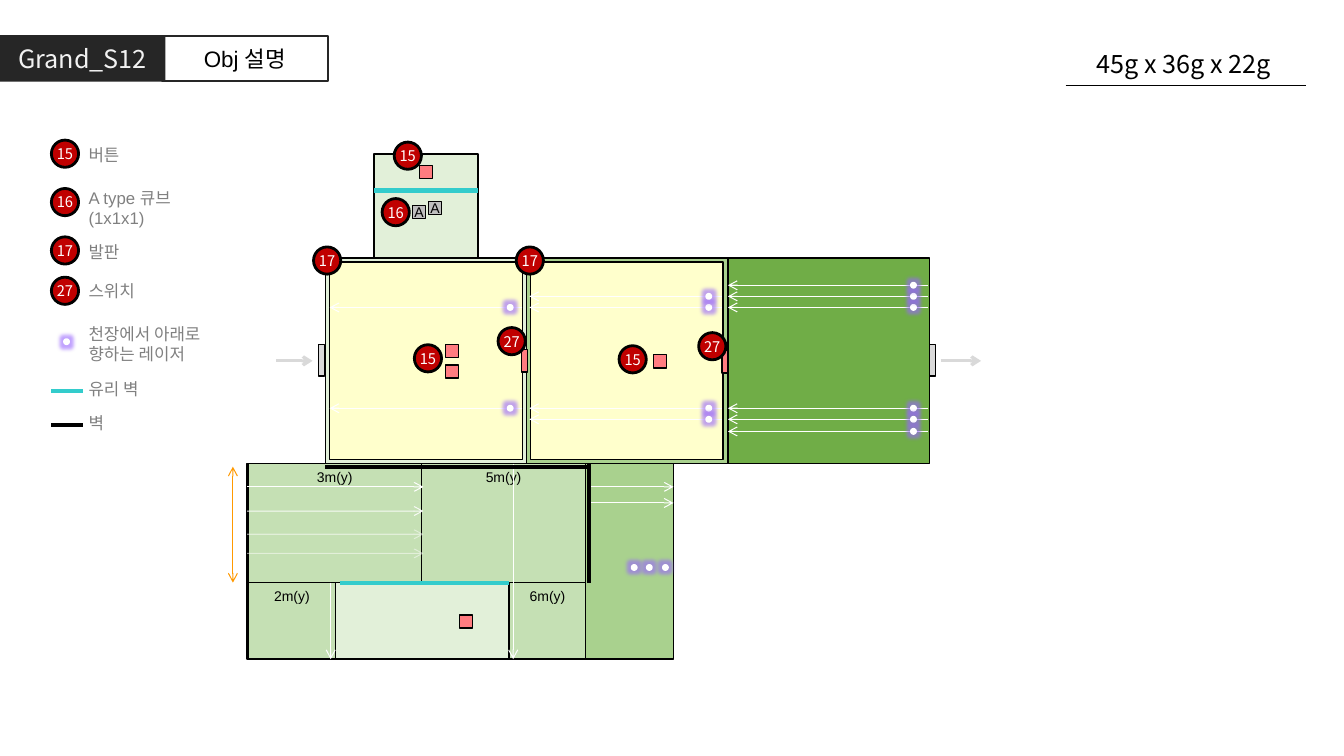
from lxml import etree
from pptx import Presentation
from pptx import util as u
from pptx.dml.color import RGBColor
from pptx.enum import shapes, text
from pptx.oxml.ns import qn

COLORS = {
    "white": "FFFFFF", "black": "000000", "dark": "262626", "title": "F2F2F2",
    "pale": "E2F0D9", "light": "C5E0B4", "mid": "A9D18E", "deep": "70AD47",
    "floor": "FFFFCC", "door": "D9D9D9", "cube": "BFBFBF", "button": "FF7C80",
    "badge": "C00000", "glass": "33CCCC", "label": "808080",
    "height": "FF9900", "glow": "9966FF",
}
LATIN, KOREAN = "Arial", "Noto Sans CJK KR"
COLS, ROWS = 133.3, 75  # grid cells across and down the slide
BUTTON = 1.3
BADGE = 2.7
DOT = 0.4


class Plan:
    """Draws on one slide; lengths are grid columns and rows."""

    def __init__(self, prs):
        self.slide = prs.slides.add_slide(prs.slide_layouts[6])
        self.col = prs.slide_width / COLS
        self.row = prs.slide_height / ROWS

    def place(self, x, y):
        return round(x * self.col), round(y * self.row)

    def color(self, name):
        return RGBColor.from_string(COLORS[name])

    def set_words(self, frame, words, size, color, font, align=text.PP_ALIGN.CENTER):
        frame.text = words
        frame.paragraphs[0].alignment = align
        run = frame.paragraphs[0].runs[0]
        run.font.size, run.font.name = u.Pt(size), font
        run.font.color.rgb = self.color(color)
        etree.SubElement(run.font._element, qn("a:ea"), typeface=KOREAN)

    def box(self, x, y, w, h, fill=None, line="black", weight=1, kind="RECTANGLE"):
        shape = self.slide.shapes.add_shape(
            shapes.MSO_SHAPE[kind], *self.place(x, y), *self.place(w, h))
        shape.shadow.inherit = False
        if fill:
            shape.fill.solid()
            shape.fill.fore_color.rgb = self.color(fill)
        else:
            shape.fill.background()
        if line:
            shape.line.color.rgb = self.color(line)
            shape.line.width = u.Pt(weight)
        else:
            shape.line.fill.background()
        return shape

    def tagged(self, shape, words, size=10, color="black", font=LATIN, top=False, tight=False):
        frame = shape.text_frame
        frame.vertical_anchor = text.MSO_ANCHOR.TOP if top else text.MSO_ANCHOR.MIDDLE
        if tight:
            frame.word_wrap = False
            frame.margin_left = frame.margin_right = 0
            frame.margin_top = frame.margin_bottom = 0
        self.set_words(frame, words, size, color, font)

    def badge(self, x, y, number):
        circle = self.box(x, y, BADGE, BADGE, "badge", weight=2, kind="OVAL")
        self.tagged(circle, str(number), 10.5, "white", KOREAN, tight=True)

    def button(self, x, y):
        self.box(x, y, BUTTON, BUTTON, "button")

    def laser(self, x, y):
        """A glowing dot centred on x, y."""
        dot = self.box(x - DOT / 2, y - DOT / 2, DOT, DOT, "white", "white", 2, "OVAL")
        effects = dot._element.spPr.find(qn("a:effectLst"))
        glow = etree.SubElement(effects, qn("a:glow"), rad=str(u.Pt(5)))
        tint = etree.SubElement(glow, qn("a:srgbClr"), val=COLORS["glow"])
        etree.SubElement(tint, qn("a:alpha"), val="60000")

    def line(self, x1, y1, x2, y2, color="white", weight=0.75, ends=(), alpha=100):
        line = self.slide.shapes.add_connector(
            shapes.MSO_CONNECTOR.STRAIGHT, *self.place(x1, y1), *self.place(x2, y2))
        line.line.color.rgb = self.color(color)
        line.line.width = u.Pt(weight)
        props = line._element.spPr
        stroke = props.find(qn("a:ln"))
        if alpha < 100:
            tint = stroke.find(".//" + qn("a:srgbClr"))
            etree.SubElement(tint, qn("a:alpha"), val=str(alpha * 1000))
        for end in ends:
            etree.SubElement(stroke, qn(f"a:{end}End"), type="arrow")
        etree.SubElement(props, qn("a:effectLst"))

    def arrow(self, *points, **style):
        self.line(*points, ends=("tail",), **style)

    def caption(self, x, y, w, h, words, size=12, color="label", font=LATIN,
                align=text.PP_ALIGN.LEFT):
        frame = self.slide.shapes.add_textbox(*self.place(x, y), *self.place(w, h)).text_frame
        frame.word_wrap = True
        self.set_words(frame, words, size, color, font, align)


prs = Presentation()
prs.slide_width, prs.slide_height = u.Inches(13.33), u.Inches(7.5)
plan = Plan(prs)

# Header
plan.line(105.7, 8.5, 129.5, 8.5, "black", 1)
plan.caption(107, 4.3, 22, 4, "45g x 36g x 22g  ", 18, "black", KOREAN, text.PP_ALIGN.CENTER)
plan.tagged(plan.box(0, 3.5, 16.4, 4.6, "dark", None), "Grand_S12", 18, "title", KOREAN)
plan.tagged(plan.box(16.1, 3.6, 16.4, 4.4, None, "dark", 1.5), "Obj 설명", 16)

# Upper rooms, left to right, with entrance and exit
for x, fill in ((32.3, "pale"), (52.2, "mid"), (72.2, "deep")):
    plan.box(x, 25.6, 20, 20.4, fill)
for x in (32.7, 52.6):
    plan.box(x, 26, 19.1, 19.6, "floor")
for x in (31.6, 92.2):
    plan.box(x, 34.2, 0.6, 3.1, "door")
for x1, x2 in ((27.4, 31), (93.3, 97.3)):
    plan.arrow(x1, 35.8, x2, 35.8, color="door", weight=2.25)

# Switches and buttons in the upper rooms
for x, y in ((51.7, 34.7), (71.6, 34.8)):
    plan.box(x, y, 0.6, 2.2, "button")
for x, y in ((44.2, 34.2), (44.2, 36.2), (64.8, 35.2)):
    plan.button(x, y)

# Laser beams: each room has one more pair than the room before
beam_pairs = ((30.5, 40.5), (29.4, 41.6), (28.3, 42.8))
beam_spans = ((51.8, 32.7, 50.6), (71.6, 52.5, 70.3), (92, 72.2, 90.6))
for pairs, (start, end, source) in enumerate(beam_spans, 1):
    beams = sum(beam_pairs[:pairs], ())
    for y in beams:
        plan.arrow(start, y, end, y)
    for y in beams:
        plan.laser(source, y)

# Cube room
plan.box(37.1, 15.3, 10.3, 10.3, "pale")
plan.line(37.1, 18.9, 47.4, 18.9, "glass", 3)
for x, y in ((42.5, 20), (40.9, 20.4)):
    plan.tagged(plan.box(x, y, BUTTON, BUTTON, "cube"), "A", tight=True)
plan.button(41.6, 16.4)

# Lower rooms
plan.box(24.5, 46, 42.3, 19.4, "mid")
for y in (48.3, 49.9):
    plan.arrow(58.5, y, 66.8, y)
plan.line(58.4, 57.8, 58.4, 46, "black", 3)
plan.box(33.2, 57.8, 17.3, 7.6, "pale")
for x, y, w, h, name in (
    (50.5, 57.8, 7.6, 7.6, "6m(y)"),
    (41.8, 46, 16.3, 11.8, "5m(y)"),
    (24.6, 46, 17.2, 11.8, "3m(y)"),
    (24.6, 57.8, 8.7, 7.6, "2m(y)"),
):
    plan.tagged(plan.box(x, y, w, h, "light"), name, top=True)
for x, top in ((50.9, 46), (32.8, 57.8)):
    plan.arrow(x, top, x, 65.4)
plan.line(33.7, 57.8, 50.5, 57.8, "glass", 3)
for y, alpha in ((48.3, 100), (50.7, 90), (53, 49), (54.9, 49)):
    plan.arrow(24.5, y, 42, y, alpha=alpha)
plan.line(23.1, 57.8, 23.1, 46.3, "height", ends=("head", "tail"))
plan.button(45.6, 61)
plan.line(58.4, 46.3, 32.2, 46.3, "black", 3)
for x in (62.9, 64.4, 66):
    plan.laser(x, 56.3)

# Numbered badges on the plan
for x, y, number in (
    (31.1, 24.5, 17), (51.2, 24.5, 17), (49.4, 32.5, 27), (69.3, 33, 27),
    (37.9, 19.7, 16), (39.1, 14.1, 15), (41.1, 34.2, 15), (61.4, 34.3, 15),
):
    plan.badge(x, y, number)

# Legend
for y, number in ((13.9, 15), (18.7, 16), (23.5, 17), (27.5, 27)):
    plan.badge(5.1, y, number)
plan.laser(6.6, 33.9)
for y, color in ((38.8, "glass"), (42.2, "black")):
    plan.line(5.1, y, 8.2, y, color, 3)
for y, w, h, meaning in (
    (13.9, 7.3, 3, "버튼"),
    (18.1, 11.8, 5, "A type 큐브 (1x1x1)"),
    (23.5, 11.8, 3, "발판"),
    (27.4, 7.3, 3, "스위치"),
    (31.6, 15.1, 5, "천장에서 아래로 향하는 레이저"),
    (37.1, 15.1, 3, "유리 벽"),
    (40.5, 15.1, 3, "벽"),
):
    plan.caption(7.8, y, w, h, meaning)

prs.save("out.pptx")
